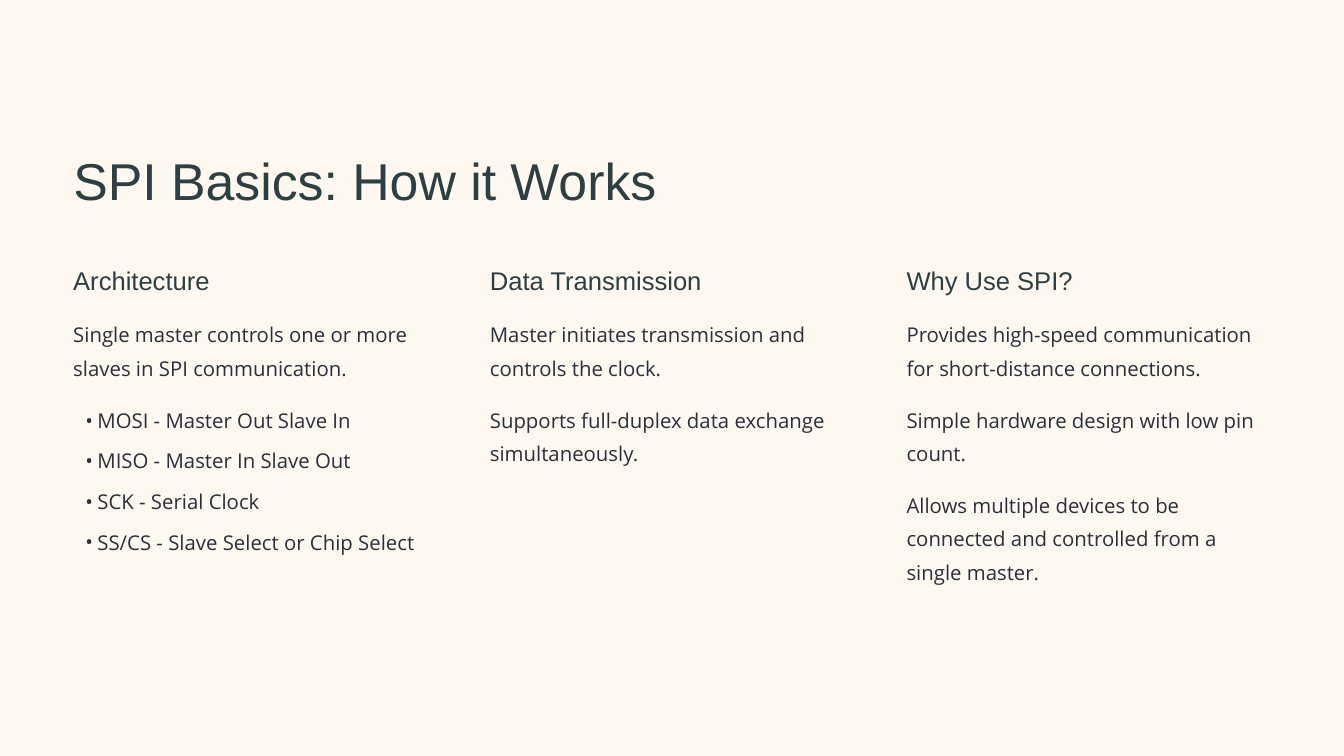
from lxml.etree import SubElement
from pptx import Presentation
from pptx.dml.color import RGBColor
from pptx.enum.shapes import MSO_SHAPE
from pptx.enum.text import MSO_ANCHOR, MSO_AUTO_SIZE, PP_ALIGN
from pptx.oxml.ns import qn
from pptx.util import Inches, Pt

PAGE_WIDTH, PAGE_HEIGHT = 20, 11.25
BACKDROP, PAPER, HEADING, BODY = "AABCB6", "FFF8F0", "2C3F42", "2B2E3C"
HEADING_FONT, BODY_FONT = "Arial", "Open Sans"
LEFT, COLUMN_STEP, COLUMN_WIDTH = 1.09, 6.2, 5.44
PARAGRAPH_GAP, BULLET_GAP = 20.2, 7.9

COLUMNS = [
    ("Architecture",
     ["Single master controls one or more slaves in SPI communication."],
     ["MOSI - Master Out Slave In", "MISO - Master In Slave Out",
      "SCK - Serial Clock", "SS/CS - Slave Select or Chip Select"]),
    ("Data Transmission",
     ["Master initiates transmission and controls the clock.",
      "Supports full-duplex data exchange simultaneously."],
     []),
    ("Why Use SPI?",
     ["Provides high-speed communication for short-distance connections.",
      "Simple hardware design with low pin count.",
      "Allows multiple devices to be connected and controlled from a single master."],
     []),
]


def color(value):
    return RGBColor.from_string(value)


def place(box, left, top, width, height):
    box.left, box.top = Inches(left), Inches(top)
    box.width, box.height = Inches(width), Inches(height)
    frame = box.text_frame
    frame.margin_left = frame.margin_right = frame.margin_top = frame.margin_bottom = 0
    frame.word_wrap = True
    frame.auto_size = MSO_AUTO_SIZE.NONE
    frame.vertical_anchor = MSO_ANCHOR.TOP
    return frame


def add_box(page, left, top, width, height):
    return place(page.shapes.add_textbox(0, 0, 0, 0), left, top, width, height)


def write(para, text, size, line, font=HEADING_FONT, fill=HEADING, before=0, bullet=False):
    if bullet:
        para.level = 1
        properties = para._p.get_or_add_pPr()
        properties.set("marL", str(Inches(0.36)))
        properties.set("indent", str(Inches(-0.18)))
        SubElement(properties, qn("a:buFont"), typeface=font)
        SubElement(properties, qn("a:buChar"), char="•")
    para.alignment = PP_ALIGN.LEFT
    para.line_spacing = Pt(line)
    para.space_before = Pt(before)
    span = para.add_run()
    span.text = text
    span.font.name = font
    span.font.size = Pt(size)
    span.font.color.rgb = color(fill)


def add_paper(page, left, top, width, height):
    page.background.fill.solid()
    page.background.fill.fore_color.rgb = color(BACKDROP)
    paper = page.shapes.add_shape(MSO_SHAPE.RECTANGLE, Inches(left), Inches(top),
                                  Inches(width), Inches(height))
    paper.shadow.inherit = False
    paper.fill.solid()
    paper.fill.fore_color.rgb = color(PAPER)
    paper.line.fill.background()
    page.shapes._spTree.insert(2, paper._element)


def add_title(page, text, left, top, width, height):
    frame = place(page.shapes.title, left, top, width, height)
    write(frame.paragraphs[0], text, size=55.5, line=69.4)


def add_column(page, heading, statements, bullets, left, top, width):
    frame = add_box(page, left, top, width, 0.5)
    write(frame.paragraphs[0], heading, size=27.4, line=34.3)

    frame = add_box(page, left, top + 0.74, width, 4.1)
    lines = [(text, False) for text in statements] + [(text, True) for text in bullets]
    for index, (text, bullet) in enumerate(lines):
        para = frame.add_paragraph() if index else frame.paragraphs[0]
        follows_bullet = index > len(statements)
        gap = BULLET_GAP if follows_bullet else PARAGRAPH_GAP
        write(para, text, size=21.8, line=35.6, font=BODY_FONT, fill=BODY,
              before=gap if index else 0, bullet=bullet)


def main():
    deck = Presentation()
    deck.slide_width, deck.slide_height = Inches(PAGE_WIDTH), Inches(PAGE_HEIGHT)
    page = deck.slides.add_slide(deck.slide_layouts[5])

    add_paper(page, 0, 0, PAGE_WIDTH, PAGE_HEIGHT)
    add_title(page, "SPI Basics: How it Works", LEFT, 2.18, 8.74, 0.99)
    for index, (heading, statements, bullets) in enumerate(COLUMNS):
        add_column(page, heading, statements, bullets,
                   LEFT + index * COLUMN_STEP, 3.93, COLUMN_WIDTH)
    deck.save("out.pptx")


if __name__ == "__main__":
    main()
